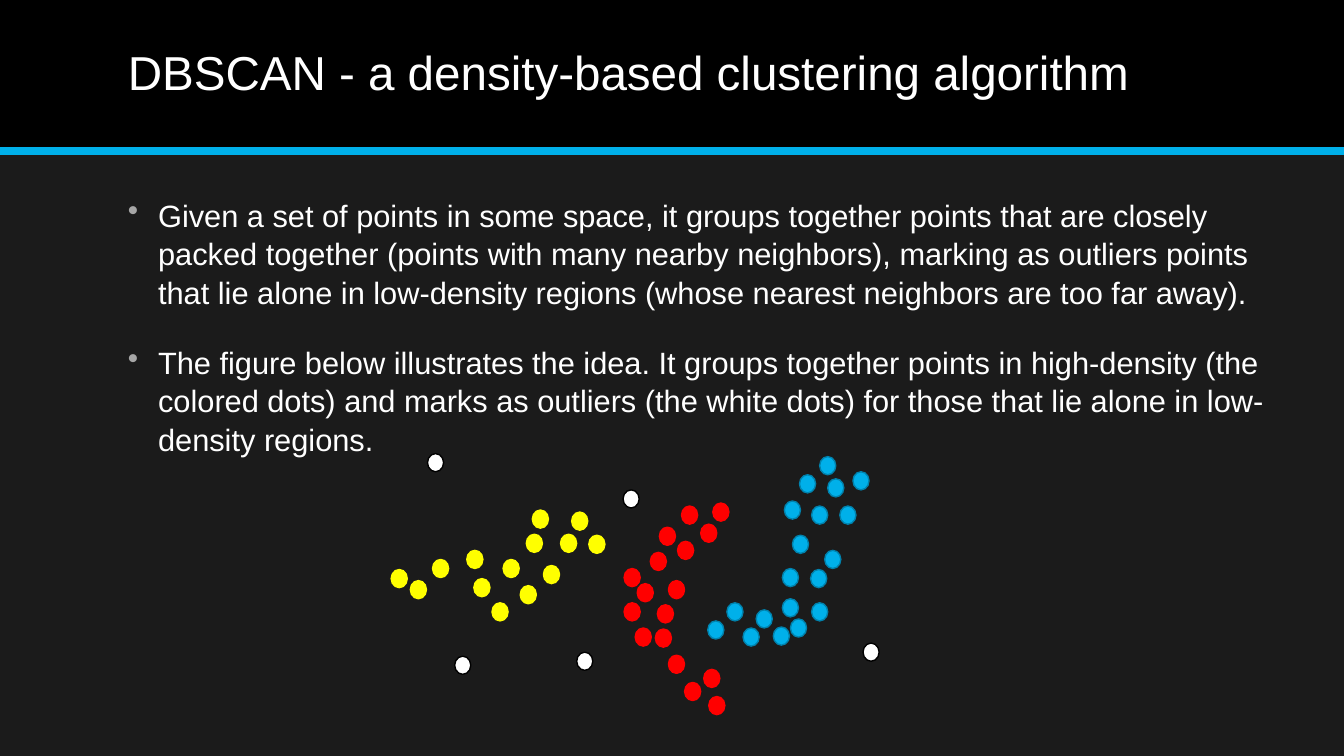
from dataclasses import dataclass

import pptx
import pptx.dml.color
import pptx.enum.shapes
import pptx.enum.text
import pptx.oxml.ns
import pptx.util
from lxml import etree

EMU_PER_PX = 9144
PAGE_WIDTH, PAGE_HEIGHT = 1333, 750
HEADER_HEIGHT = 150
DOT_WIDTH, DOT_HEIGHT = 16, 18


@dataclass(frozen=True)
class Theme:
    font: str = "Arial"
    title_size: int = 34
    body_size: int = 22
    background: str = "1B1B1B"
    header: str = "000000"
    accent: str = "00B0EA"
    accent_edge: str = "0082AD"
    text: str = "FFFFFF"
    bullet: str = "A6A6A6"
    red: str = "FF0000"
    yellow: str = "FFFF00"
    outlier: str = "FFFFFF"
    outlier_edge: str = "000000"


def px(*lengths):
    return [pptx.util.Emu(length * EMU_PER_PX) for length in lengths]


def rgb(color):
    return pptx.dml.color.RGBColor.from_string(color)


class SlideBuilder:
    def __init__(self, page, theme):
        self.page = page
        self.theme = theme
        page.background.fill.solid()
        page.background.fill.fore_color.rgb = rgb(theme.background)

    def shape(self, shapes, kind, frame, fill, edge=None):
        shape = shapes.add_shape(kind, *px(*frame))
        shape.shadow.inherit = False
        shape.fill.solid()
        shape.fill.fore_color.rgb = rgb(fill)
        if edge:
            shape.line.color.rgb = rgb(edge)
            shape.line.width = pptx.util.Pt(1)
        else:
            shape.line.fill.background()

    def rectangle(self, frame, fill):
        kind = pptx.enum.shapes.MSO_SHAPE.RECTANGLE
        self.shape(self.page.shapes, kind, frame, fill)

    def rule(self, start, end, color, width):
        kind = pptx.enum.shapes.MSO_CONNECTOR.STRAIGHT
        rule = self.page.shapes.add_connector(kind, *px(*start, *end))
        rule.line.color.rgb = rgb(color)
        rule.line.width = pptx.util.Pt(width)
        properties = rule._element.spPr
        etree.SubElement(properties, pptx.oxml.ns.qn("a:effectLst"))

    def text(self, frame, lines, size, spacing, anchor):
        box = self.page.shapes.add_textbox(*px(*frame)).text_frame
        box.word_wrap = True
        box.vertical_anchor = anchor
        box.text = "\n".join(lines)
        for para in box.paragraphs:
            para.line_spacing = spacing
            para.font.name = self.theme.font
            para.font.size = pptx.util.Pt(size)
            para.font.color.rgb = rgb(self.theme.text)
        return box

    def title(self, frame, line):
        anchor = pptx.enum.text.MSO_ANCHOR.MIDDLE
        self.text(frame, [line], self.theme.title_size, 0.9, anchor)

    def bullets(self, frame, lines, indent):
        anchor = pptx.enum.text.MSO_ANCHOR.TOP
        box = self.text(frame, lines, self.theme.body_size, 1.05, anchor)
        [hang] = px(indent)
        qn = pptx.oxml.ns.qn
        for para in box.paragraphs:
            para.space_before = pptx.util.Pt(self.theme.body_size)
            properties = para._p.get_or_add_pPr()
            properties.set("marL", str(hang))
            properties.set("indent", str(-hang))
            color = etree.Element(qn("a:buClr"))
            etree.SubElement(color, qn("a:srgbClr"), val=self.theme.bullet)
            mark = etree.Element(qn("a:buChar"), char="•")
            defaults = properties.find(qn("a:defRPr"))
            defaults.addprevious(color)
            defaults.addprevious(mark)

    def cluster(self, points, fill, edge):
        group = self.page.shapes.add_group_shape()
        kind = pptx.enum.shapes.MSO_SHAPE.OVAL
        for left, top in points:
            frame = (left, top, DOT_WIDTH, DOT_HEIGHT)
            self.shape(group.shapes, kind, frame, fill, edge)


BODY = [
    "Given a set of points in some space, it groups together points that are "
    "closely packed together (points with many nearby neighbors), marking as "
    "outliers points that lie alone in low-density regions (whose nearest "
    "neighbors are too far away).",
    "The figure below illustrates the idea. It groups together points in "
    "high-density (the colored dots) and marks as outliers (the white dots) "
    "for those that lie alone in low-density regions.",
]

BLUE_POINTS = [
    (833, 502), (778, 497), (813, 453), (793, 471), (805, 502),
    (821, 475), (846, 468), (786, 531), (818, 546), (804, 565),
    (805, 598), (784, 614), (776, 594), (750, 605), (776, 564),
    (767, 622), (737, 623), (721, 598), (702, 616),
]
RED_POINTS = [
    (695, 520), (676, 502), (707, 499), (630, 623), (698, 664),
    (703, 691), (679, 677), (619, 598), (672, 537), (654, 523),
    (645, 548), (663, 576), (632, 579), (619, 564), (652, 600),
    (650, 624), (663, 650),
]
YELLOW_POINTS = [
    (499, 555), (522, 530), (528, 506), (556, 530), (584, 531),
    (567, 508), (539, 561), (516, 581), (488, 598), (463, 546),
    (470, 574), (429, 555), (388, 565), (407, 576),
]
OUTLIERS = [(618, 486), (451, 651), (856, 638), (424, 450), (572, 647)]


def main():
    theme = Theme()
    deck = pptx.Presentation()
    deck.slide_width, deck.slide_height = px(PAGE_WIDTH, PAGE_HEIGHT)
    slide = SlideBuilder(deck.slides.add_slide(deck.slide_layouts[6]), theme)

    slide.rectangle((0, 0, PAGE_WIDTH, HEADER_HEIGHT), theme.header)
    slide.rule((0, HEADER_HEIGHT), (PAGE_WIDTH, HEADER_HEIGHT), theme.accent, 6)
    slide.title((117, 14, 1100, 120),
                "DBSCAN - a density-based clustering algorithm")
    slide.bullets((117, 188, 1160, 510), BODY, 30)

    slide.cluster(BLUE_POINTS, theme.accent, theme.accent_edge)
    slide.cluster(RED_POINTS, theme.red, theme.red)
    slide.cluster(YELLOW_POINTS, theme.yellow, theme.yellow)
    slide.cluster(OUTLIERS, theme.outlier, theme.outlier_edge)
    deck.save("out.pptx")


if __name__ == "__main__":
    main()
